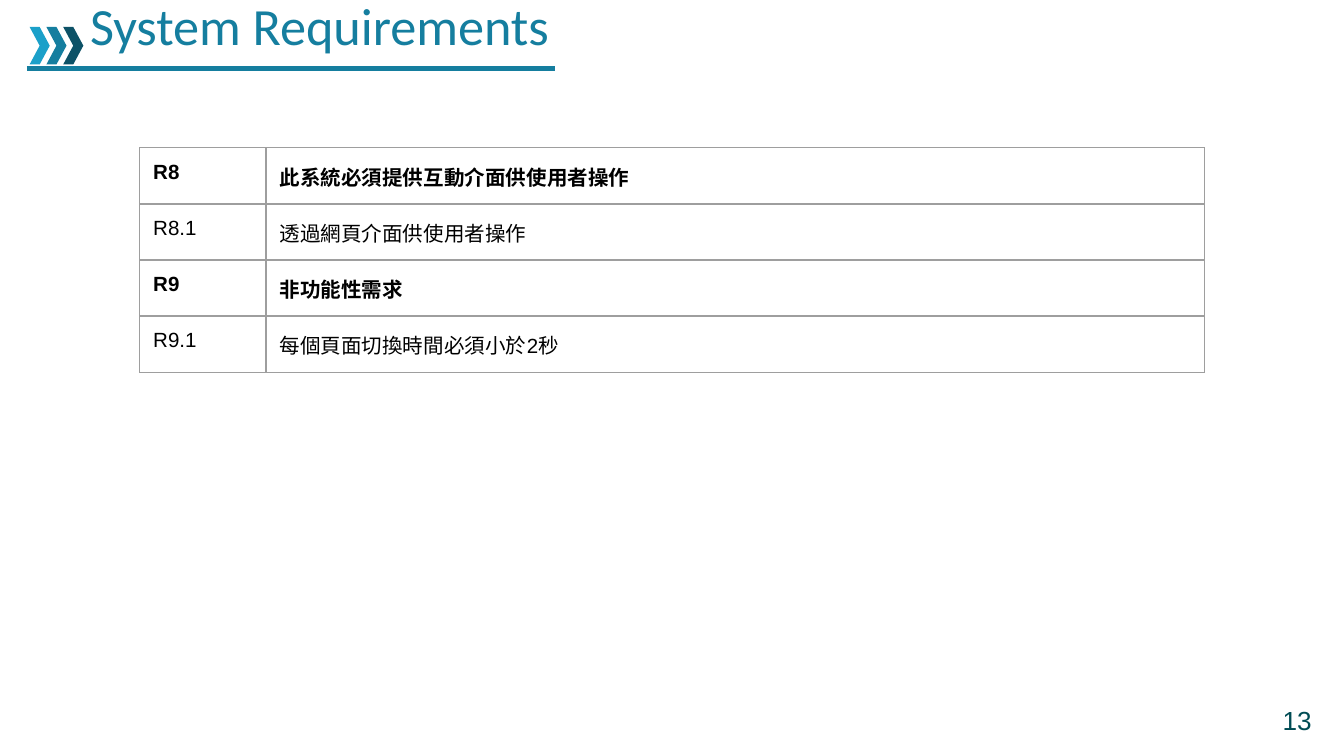
"""Build the System Requirements slide."""
import pptx
import pptx.dml.color
import pptx.enum.shapes
import pptx.enum.text
import pptx.oxml.ns
import pptx.util
from lxml import etree

Inches = pptx.util.Inches
Pt = pptx.util.Pt
ALIGN = pptx.enum.text.PP_ALIGN
ANCHOR = pptx.enum.text.MSO_ANCHOR
qn = pptx.oxml.ns.qn

TITLE = "System Requirements"
PAGE_NUMBER = "13"
REQUIREMENTS = [
    ("R8", "此系統必須提供互動介面供使用者操作", True),
    ("R8.1", "透過網頁介面供使用者操作", False),
    ("R9", "非功能性需求", True),
    ("R9.1", "每個頁面切換時間必須小於2秒", False),
]
COLORS = {
    "accent": "157E9F",
    "light": "1BA0C9",
    "dark": "0D5267",
    "text": "000000",
    "border": "9E9E9E",
    "number": "004C54",
}
SLIDE_WIDTH = 10
SLIDE_HEIGHT = SLIDE_WIDTH * 9 / 16
CHEVRONS = ["light", "accent", "dark"]
CHEVRON_LEFT, CHEVRON_RIGHT = 0.22, 0.47
CHEVRON_STEP = (CHEVRON_RIGHT - CHEVRON_LEFT) / (len(CHEVRONS) - 1)
COLUMN_WIDTHS = [0.94, 6.98]
TABLE_HEIGHT = 1.67
ROW_HEIGHT = TABLE_HEIGHT / len(REQUIREMENTS)


def rgb(name):
    return pptx.dml.color.RGBColor.from_string(COLORS[name])


def set_values(target, values):
    for name, value in values.items():
        setattr(target, name, value)


def place(shape, left, top, width, height):
    set_values(shape, {"left": Inches(left), "top": Inches(top),
                       "width": Inches(width), "height": Inches(height)})


def set_margins(target, horizontal, vertical):
    for side in ("left", "right"):
        setattr(target, f"margin_{side}", Inches(horizontal))
    for side in ("top", "bottom"):
        setattr(target, f"margin_{side}", Inches(vertical))


def write_text(frame, text, color, font_values, paragraph_values):
    paragraph = frame.paragraphs[0]
    set_values(paragraph, paragraph_values)
    run = paragraph.add_run()
    run.text = text
    set_values(run.font, font_values)
    run.font.color.rgb = rgb(color)


def add_borders(cell):
    properties = cell._tc.get_or_add_tcPr()
    for side in ("lnL", "lnR", "lnT", "lnB"):
        line = etree.SubElement(properties, qn(f"a:{side}"), w=str(Pt(0.75)))
        fill = etree.SubElement(line, qn("a:solidFill"))
        etree.SubElement(fill, qn("a:srgbClr"), val=COLORS["border"])


def add_heading(slide):
    underline = slide.shapes.add_connector(
        pptx.enum.shapes.MSO_CONNECTOR.STRAIGHT,
        Inches(0.2), Inches(0.51), Inches(4.13), Inches(0.51))
    underline.line.color.rgb = rgb("accent")
    underline.line.width = Pt(3)
    etree.SubElement(underline._element.spPr, qn("a:effectLst"))

    for index, color in enumerate(CHEVRONS):
        chevron = slide.shapes.add_shape(
            pptx.enum.shapes.MSO_SHAPE.CHEVRON,
            Inches(CHEVRON_LEFT + index * CHEVRON_STEP), Inches(0.2),
            Inches(0.15), Inches(0.28))
        chevron.shadow.inherit = False
        chevron.fill.solid()
        chevron.fill.fore_color.rgb = rgb(color)
        chevron.line.fill.background()

    title = slide.shapes.title
    place(title, -0.24, -0.15, 4.6, 0.55)
    frame = title.text_frame
    set_values(frame, {"word_wrap": True, "vertical_anchor": ANCHOR.TOP,
                       "auto_size": pptx.enum.text.MSO_AUTO_SIZE.NONE})
    set_margins(frame, 0.1, 0.1)
    write_text(frame, TITLE, "accent",
               {"name": "Calibri", "size": Pt(28), "bold": False},
               {"alignment": ALIGN.LEFT, "space_before": Pt(5.6)})
    indent = {"marL": str(Inches(0.81)), "indent": "0"}
    for name, value in indent.items():
        frame.paragraphs[0]._p.get_or_add_pPr().set(name, value)


def add_requirements(slide):
    table = slide.shapes.add_table(
        len(REQUIREMENTS), len(COLUMN_WIDTHS), Inches(1.04), Inches(1.1),
        Inches(sum(COLUMN_WIDTHS)), Inches(TABLE_HEIGHT)).table
    set_values(table, {"first_row": False, "horz_banding": False})
    for column, width in zip(table.columns, COLUMN_WIDTHS):
        column.width = Inches(width)
    for row, (code, description, bold) in zip(table.rows, REQUIREMENTS):
        row.height = Inches(ROW_HEIGHT)
        for cell, text in zip(row.cells, (code, description)):
            set_margins(cell, 0.1, 0.07)
            add_borders(cell)
            cell.fill.background()
            write_text(cell.text_frame, text, "text",
                       {"name": "Arial", "size": Pt(11), "bold": bold},
                       {"line_spacing": 1.15})


def add_page_number(slide):
    box = slide.shapes.add_textbox(
        Inches(7.58), Inches(5.21), Inches(2.25), Inches(0.3))
    frame = box.text_frame
    set_values(frame, {"word_wrap": True, "vertical_anchor": ANCHOR.MIDDLE})
    set_margins(frame, 0.07, 0.04)
    write_text(frame, PAGE_NUMBER, "number",
               {"name": "Arial", "size": Pt(14)}, {"alignment": ALIGN.RIGHT})


def main():
    presentation = pptx.Presentation()
    set_values(presentation, {"slide_width": Inches(SLIDE_WIDTH),
                              "slide_height": Inches(SLIDE_HEIGHT)})
    slide = presentation.slides.add_slide(presentation.slide_layouts[5])
    add_heading(slide)
    add_requirements(slide)
    add_page_number(slide)
    presentation.save("out.pptx")


if __name__ == "__main__":
    main()
